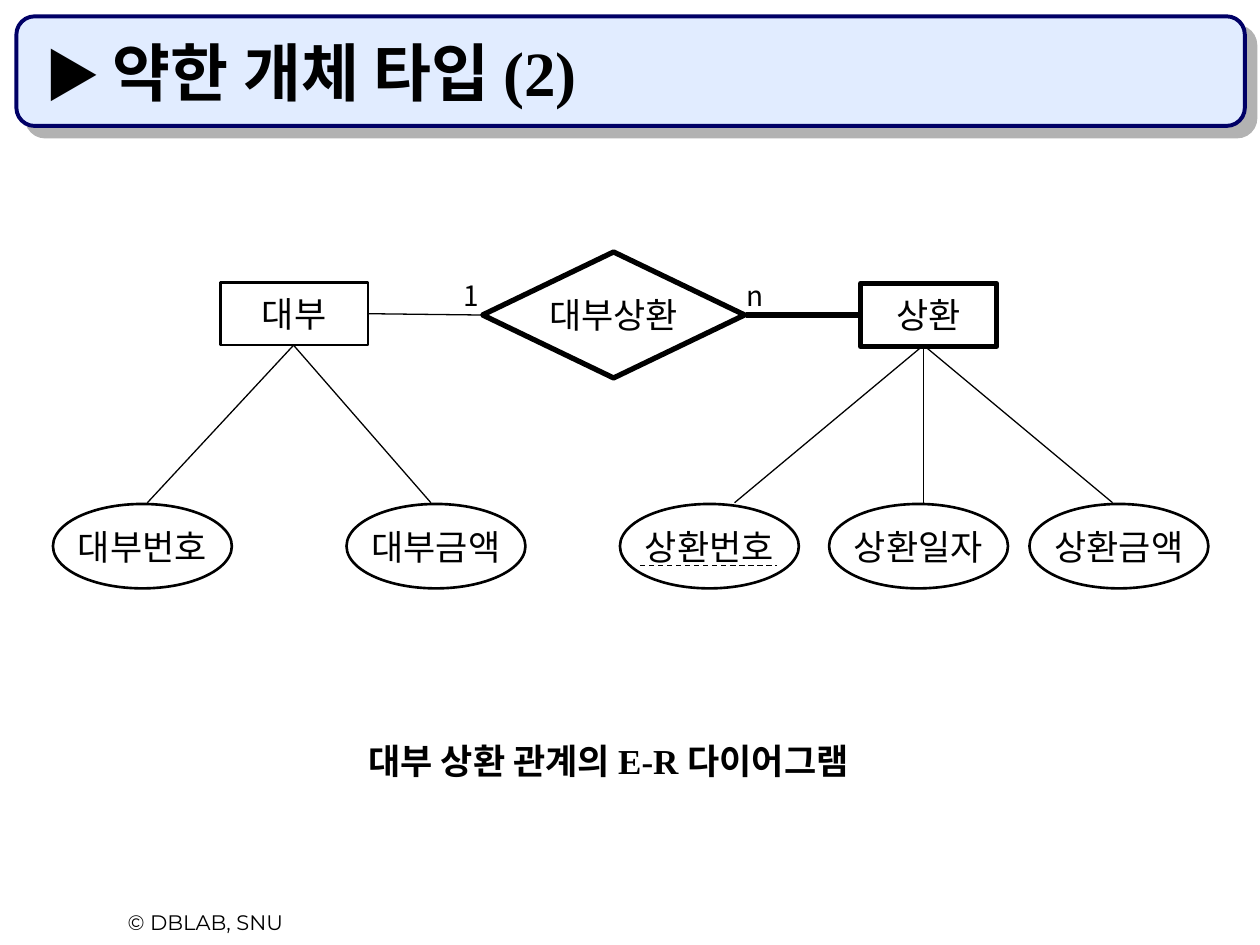
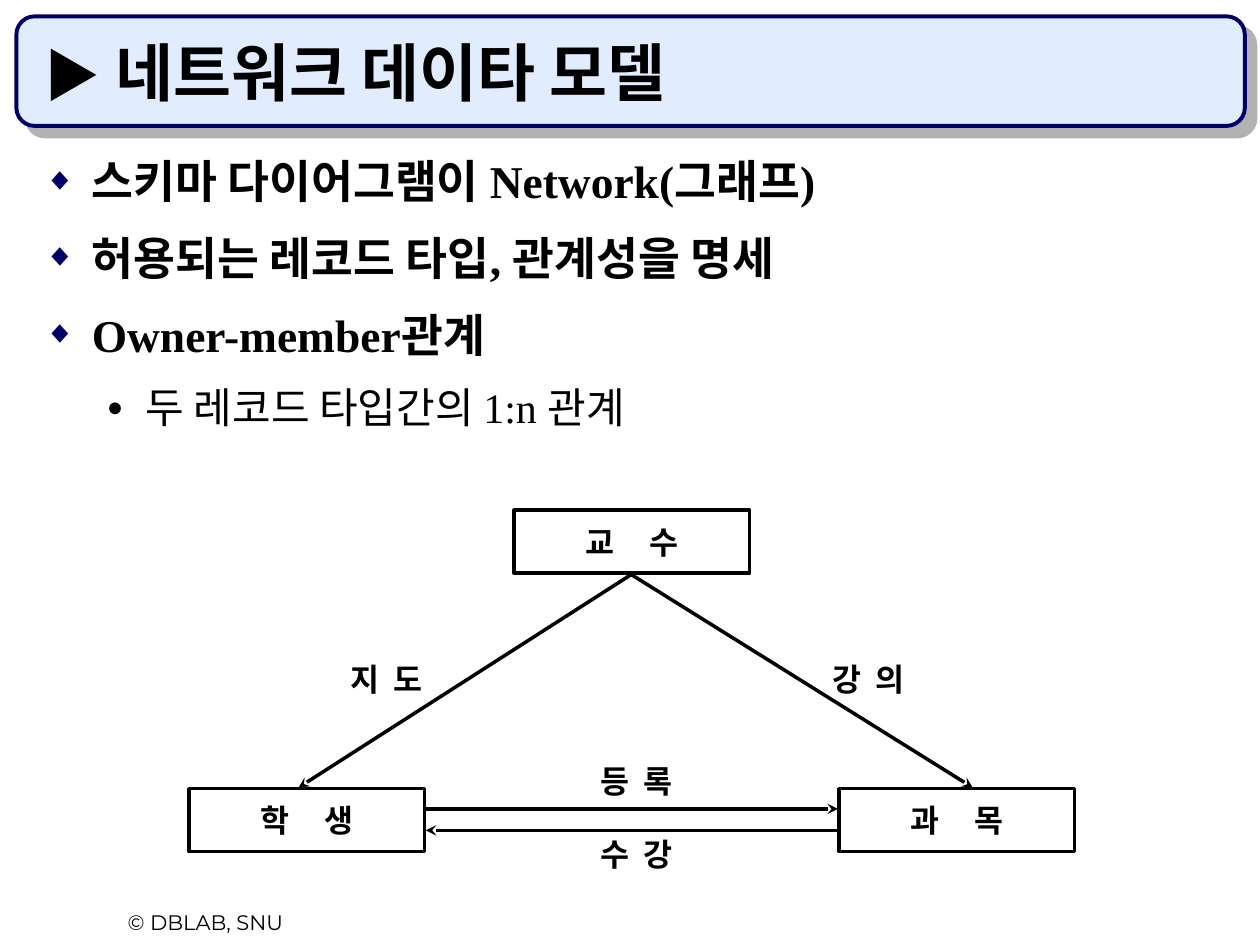
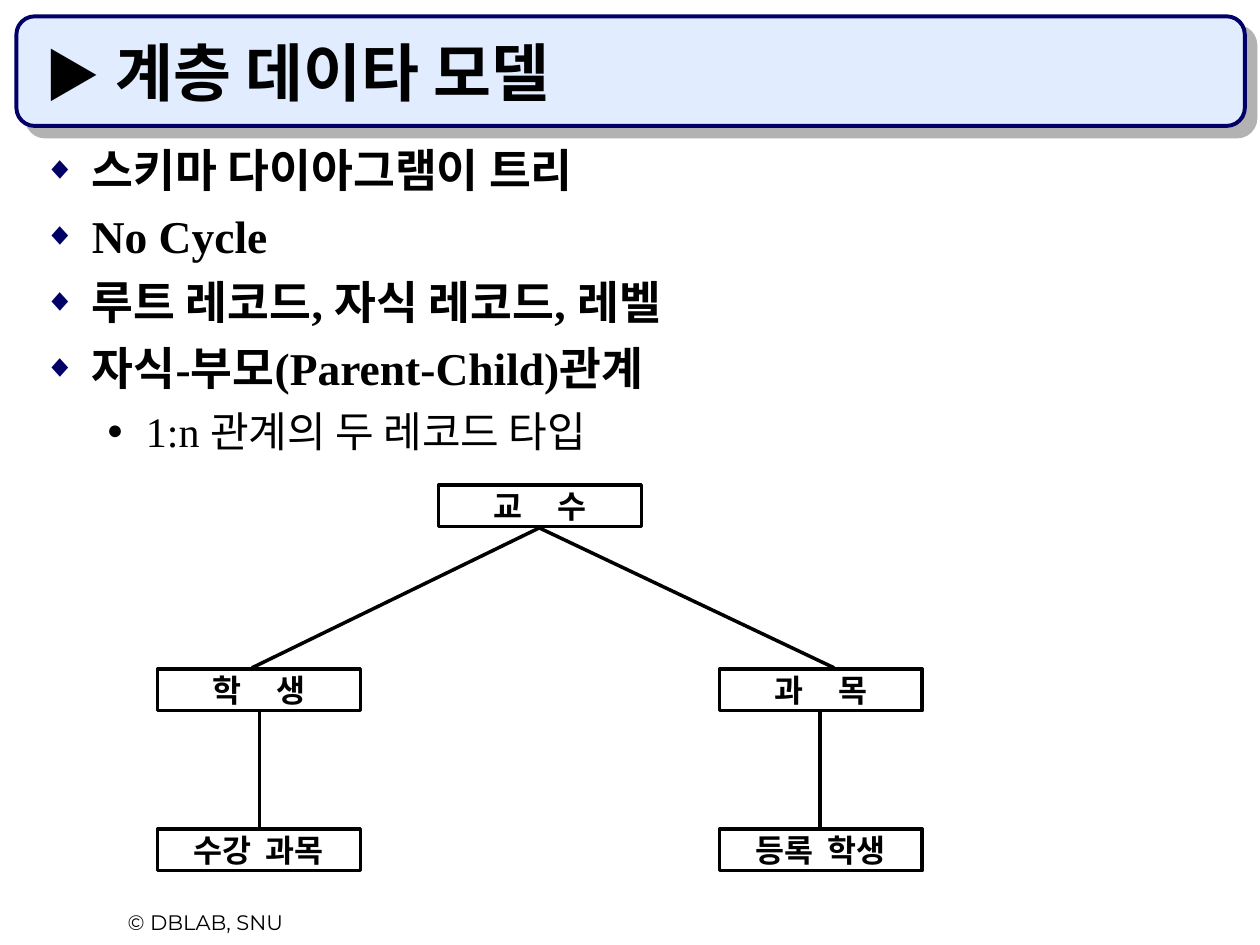
from dataclasses import dataclass

from lxml import etree
from pptx import Presentation
from pptx import util as u
from pptx.dml import color as col
from pptx.enum import shapes, text
from pptx.oxml import ns

KIND = shapes.MSO_SHAPE
LEFT, MID = text.PP_ALIGN.LEFT, text.PP_ALIGN.CENTER


@dataclass(frozen=True)
class Theme:
    ink: str = "000000"
    navy: str = "000066"
    pale: str = "E1ECFF"
    grey: str = "B2B2B2"
    white: str = "FFFFFF"
    serif: str = "Times New Roman"
    hangul: str = "Noto Sans CJK KR"
    sans: str = "Montserrat"
    head: int = 36
    mark: int = 32
    point: int = 26
    sub: int = 24
    node: int = 20
    name: int = 18
    card: int = 16
    foot: int = 12


T = Theme()


def rgb(code):
    return col.RGBColor.from_string(code)


def place(*spot):
    return [u.Inches(n) for n in spot]


def sub(node, tag, **attrs):
    return etree.SubElement(node, ns.qn(tag), attrs)


def style(run, size, bold=False, face=T.hangul):
    font = run.font
    font.size, font.bold, font.name = u.Pt(size), bold, face
    font.color.rgb = rgb(T.ink)
    sub(run._r.get_or_add_rPr(), "a:ea", typeface=T.hangul)


def write(para, words, size, bold=False, face=T.hangul, gap=0):
    """Fill a paragraph; gap widens the space between words, in points."""
    parts = words.split(" ") if gap else [words]
    for i, part in enumerate(parts):
        if i:
            space = para.add_run()
            space.text = " "
            style(space, size, bold, face)
            space._r.get_or_add_rPr().set("spc", str(gap * 100))
        run = para.add_run()
        run.text = part
        style(run, size, bold, face)


def node(slide, spot, words, kind=KIND.RECTANGLE, width=1.5, size=T.node,
         bold=False, gap=0, fill=None):
    shape = slide.shapes.add_shape(kind, *place(*spot))
    shape.shadow.inherit = False
    if fill:
        shape.fill.solid()
        shape.fill.fore_color.rgb = rgb(fill)
    else:
        shape.fill.background()
    shape.line.color.rgb = rgb(T.ink)
    shape.line.width = u.Pt(width)
    frame = shape.text_frame
    frame.word_wrap = False
    frame.vertical_anchor = text.MSO_ANCHOR.MIDDLE
    frame.paragraphs[0].alignment = MID
    write(frame.paragraphs[0], words, size, bold, gap=gap)


def label(slide, spot, words, size, align=LEFT, wrap=True, **look):
    box = slide.shapes.add_textbox(*place(*spot))
    frame = box.text_frame
    frame.word_wrap = wrap
    frame.auto_size = text.MSO_AUTO_SIZE.SHAPE_TO_FIT_TEXT
    frame.paragraphs[0].alignment = align
    write(frame.paragraphs[0], words, size, **look)
    return box


def link(slide, start, end, width=0.75, dash=False, arrow=False):
    line = slide.shapes.add_connector(
        shapes.MSO_CONNECTOR.STRAIGHT, *place(*start, *end))
    line.line.color.rgb = rgb(T.ink)
    line.line.width = u.Pt(width)
    if dash:
        line.line.dash_style = 4
    if arrow:
        sub(line.line._get_or_add_ln(), "a:tailEnd", type="stealth")
    sub(line._element.spPr, "a:effectLst")


def dress(layout, slide):
    """Draw the title band and footer, then move them to the layout."""
    band = slide.shapes.add_shape(
        KIND.ROUNDED_RECTANGLE, *place(0.13, 0.13, 9.75, 0.87))
    band.fill.solid()
    band.fill.fore_color.rgb = rgb(T.pale)
    band.line.color.rgb = rgb(T.navy)
    band.line.width = u.Pt(2.25)
    fx = sub(band._element.spPr, "a:effectLst")
    shade = sub(fx, "a:outerShdw", dist=str(u.Pt(8.5)), dir="2700000",
                algn="ctr", rotWithShape="0")
    sub(shade, "a:srgbClr", val=T.grey)
    foot = label(slide, (0.42, 7.17, 2.42, 0.3), "© DBLAB, SNU", T.foot,
                 MID, face=T.sans)
    for i, part in enumerate((band, foot)):
        part._element.nvSpPr.cNvPr.set("id", str(20 + i))
        layout.shapes._spTree.insert(2 + i, part._element)


def title(slide, words, gap):
    """Set the title; gap is the type size of the space after the mark."""
    shape = slide.shapes.title
    shape.left, shape.top, shape.width, shape.height = place(
        0.25, 0.25, 9.42, 0.67)
    frame = shape.text_frame
    frame.word_wrap = True
    frame.auto_size = text.MSO_AUTO_SIZE.NONE
    frame.vertical_anchor = text.MSO_ANCHOR.BOTTOM
    para = frame.paragraphs[0]
    para.alignment = LEFT
    for part, size in (("▶", T.mark), (" ", gap), (words, T.head)):
        write(para, part, size, True, T.serif)


def points(slide, items, space):
    """List (level, words) pairs with bullets."""
    box = slide.shapes.add_textbox(*place(0.25, 1.08, 9.42, 5.83))
    frame = box.text_frame
    frame.word_wrap = True
    looks = ((0.38, -0.38, T.navy, 70, "◆", 6.5, T.point),
             (0.81, -0.31, T.ink, 65, "●", 6, T.sub))
    for i, (level, words) in enumerate(items):
        para = frame.add_paragraph() if i else frame.paragraphs[0]
        left, hang, tint, scale, sign, before, size = looks[level]
        para.level = level
        props = para._p.get_or_add_pPr()
        props.set("marL", str(u.Inches(left)))
        props.set("indent", str(u.Inches(hang)))
        sub(sub(props, "a:buClr"), "a:srgbClr", val=tint)
        sub(props, "a:buSzPct", val=str(scale * 1000))
        sub(props, "a:buFont", typeface=T.serif)
        sub(props, "a:buChar", char=sign)
        para.line_spacing = space
        para.space_before = u.Pt(before if i else 0)
        write(para, words, size, level == 0, T.serif)


def weak(slide):
    title(slide, "약한 개체 타입 (2)", T.mark)
    node(slide, (1.75, 2.24, 1.17, 0.5), "대부")
    node(slide, (3.83, 2, 2.08, 1), "대부상환", KIND.DIAMOND, 3)
    node(slide, (6.83, 2.25, 1.08, 0.5), "상환", width=3)
    link(slide, (2.93, 2.49), (3.81, 2.5))
    link(slide, (6.83, 2.5), (5.92, 2.5), 3)
    fields = ((0.42, "대부번호", 2.33, 1.17), (2.75, "대부금액", 2.33, 3.42),
              (4.92, "상환번호", 7.33, 5.83), (6.58, "상환일자", 7.33, 7.33),
              (8.17, "상환금액", 7.33, 8.83))
    for left, words, top, end in fields:
        node(slide, (left, 4, 1.42, 0.67), words, KIND.OVAL)
        link(slide, (top, 2.74), (end, 3.99))
    link(slide, (5.08, 4.49), (6.17, 4.49), dash=True)
    label(slide, (3.58, 2.16, 0.42, 0.37), "1", T.card)
    label(slide, (5.83, 2.16, 0.27, 0.37), "n", T.card)
    label(slide, (1.83, 5.82, 6, 0.44), "대부 상환 관계의 E-R 다이어그램",
          T.node, MID, bold=True, face=T.serif)


def network(slide):
    title(slide, "네트워크 데이타 모델", 38)
    points(slide, ((0, "스키마 다이어그램이 Network(그래프)"),
                   (0, "허용되는 레코드 타입, 관계성을 명세"),
                   (0, "Owner-member관계"),
                   (1, "두 레코드 타입간의 1:n 관계")), 1.2)
    for left, top, words in ((4.08, 4.05, "교 수"), (1.5, 6.26, "학 생"),
                             (6.66, 6.26, "과 목")):
        node(slide, (left, top, 1.87, 0.5), words, width=2, size=T.name,
             bold=True, gap=16)
    for start, end in (((5.01, 4.56), (2.37, 6.25)),
                       ((5.01, 4.56), (7.72, 6.25)),
                       ((3.38, 6.42), (6.65, 6.42)),
                       ((6.65, 6.59), (3.38, 6.59))):
        link(slide, start, end, 2, arrow=True)
    for left, top, words in ((2.68, 5.19, "지 도"), (6.51, 5.19, "강 의"),
                             (4.67, 6, "등 록"), (4.67, 6.58, "수 강")):
        label(slide, (left, top, 0.78, 0.4), words, T.name, wrap=False,
              bold=True, gap=4)


def tree(slide):
    title(slide, "계층 데이타 모델", 38)
    points(slide, ((0, "스키마 다이아그램이 트리"), (0, "No Cycle"),
                   (0, "루트 레코드, 자식 레코드, 레벨"),
                   (0, "자식-부모(Parent-Child)관계"),
                   (1, "1:n 관계의 두 레코드 타입")), 1)
    for left, top, words, gap in (
            (3.48, 3.85, "교 수", 16), (1.25, 5.31, "학 생", 16),
            (5.71, 5.31, "과 목", 16), (1.25, 6.58, "수강 과목", 4),
            (5.71, 6.58, "등록 학생", 4)):
        node(slide, (left, top, 1.61, 0.33), words, width=2, size=T.name,
             bold=True, gap=gap, fill=T.white)
    for end, stem in ((2, 2.06), (6.62, 6.51)):
        link(slide, (4.28, 4.19), (end, 5.3), 2)
        link(slide, (stem, 5.65), (stem, 6.58), 2)


def main():
    deck = Presentation()
    deck.slide_width, deck.slide_height = place(10, 7.5)
    layout = deck.slide_layouts[5]
    for i, build in enumerate((weak, network, tree)):
        slide = deck.slides.add_slide(layout)
        if i == 0:
            dress(layout, slide)
        build(slide)
    deck.save("out.pptx")


if __name__ == "__main__":
    main()
